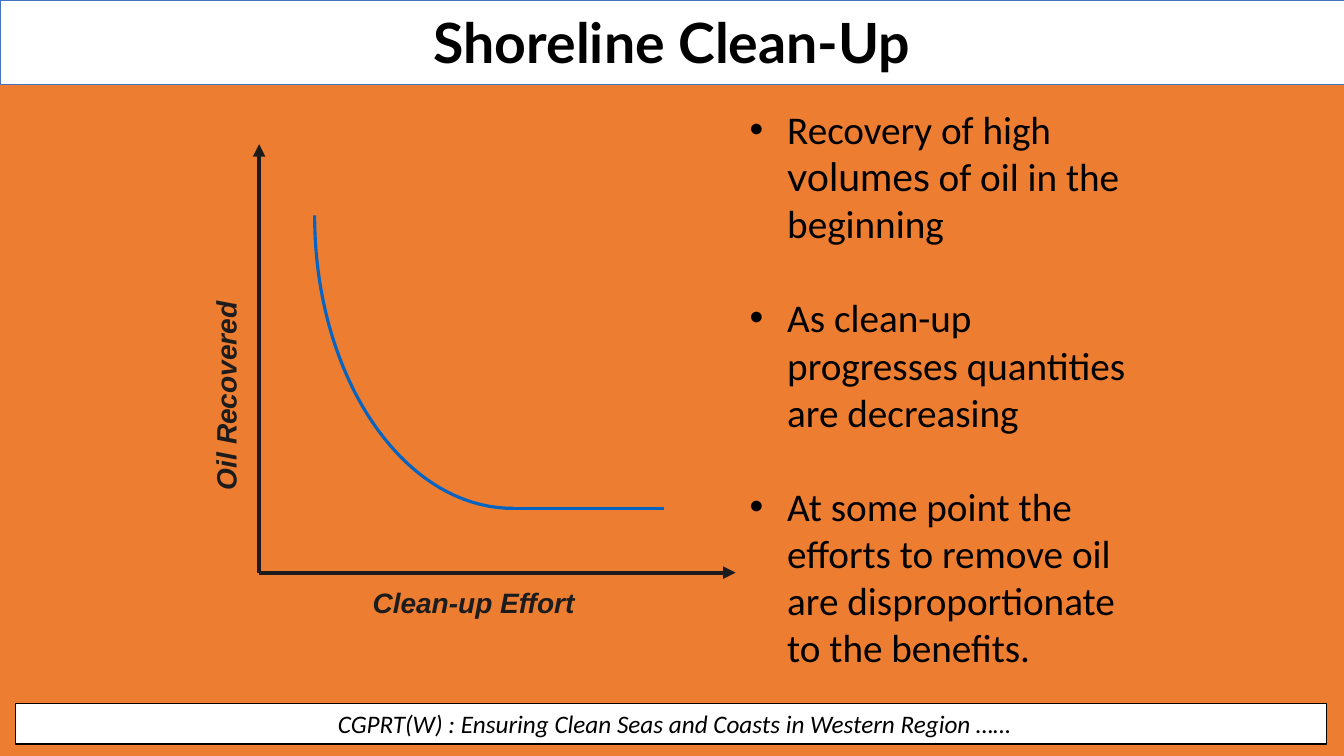
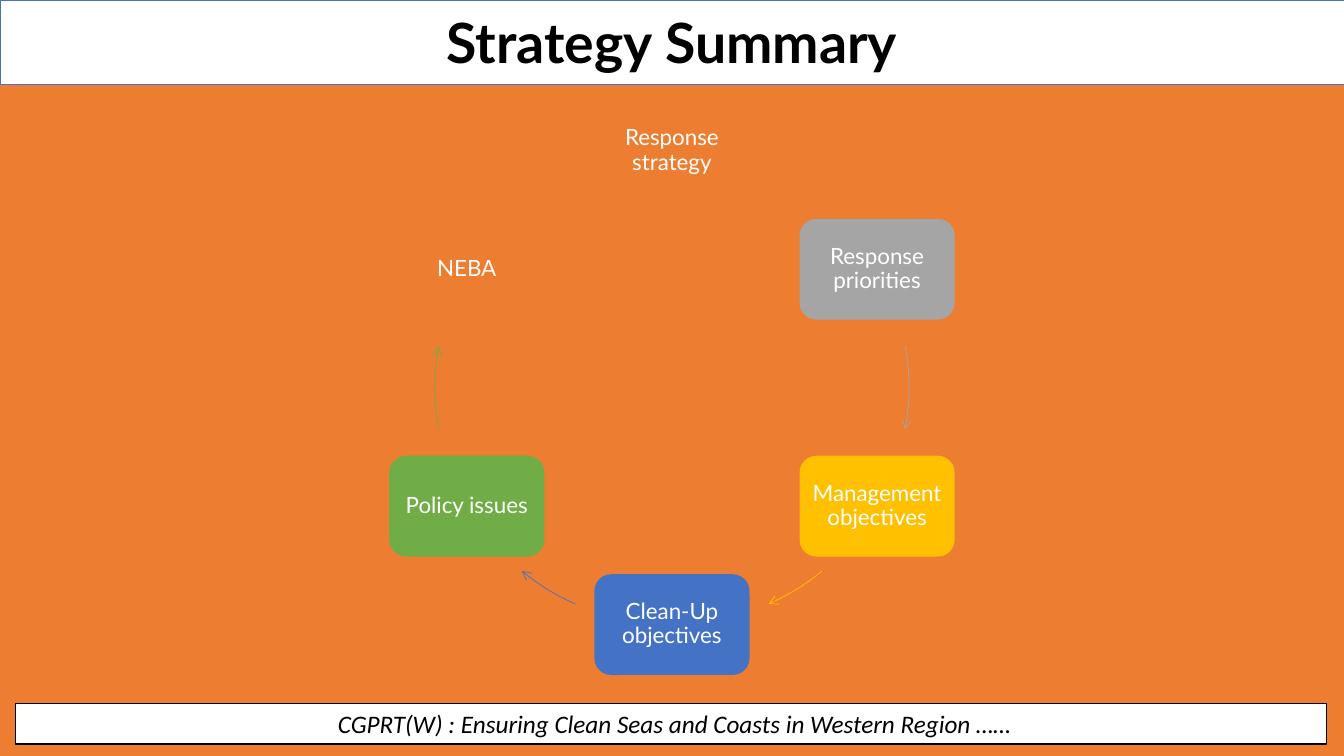
from dataclasses import dataclass
from math import cos, radians, sin, tan

from lxml import etree
from pptx import Presentation
from pptx.dml.color import RGBColor
from pptx.enum.shapes import MSO_CONNECTOR, MSO_SHAPE
from pptx.enum.text import MSO_ANCHOR, PP_ALIGN
from pptx.oxml.ns import qn
from pptx.util import Cm, Pt

RECT, ROUND = MSO_SHAPE.RECTANGLE, MSO_SHAPE.ROUNDED_RECTANGLE
LINE = MSO_CONNECTOR.STRAIGHT
LEFT, MID = PP_ALIGN.LEFT, PP_ALIGN.CENTER
TOP, CENTER = MSO_ANCHOR.TOP, MSO_ANCHOR.MIDDLE


@dataclass(frozen=True)
class Theme:
    back: str = "ED7D31"
    white: str = "FFFFFF"
    black: str = "000000"
    ink: str = "1C1C1C"
    blue: str = "4472C4"
    curve: str = "0563C1"
    gray: str = "A5A5A5"
    gold: str = "FFC000"
    green: str = "70AD47"
    head: str = "Lato"
    body: str = "Calibri"
    label: str = "Arial"
    title: float = 39.6
    large: int = 28
    axis: int = 20
    foot: int = 18
    small: int = 16


T = Theme()

# Content: a paragraph is text, or a list of (text, font) runs
FOOT = "CGPRT(W) : Ensuring Clean Seas and Coasts in Western Region ……"
SHORE = "Shoreline Clean-Up"
POINTS = [
    [("Recovery of high ", T.body), ("volumes", T.head),
     (" of oil in the beginning", T.body)],
    "As clean-up progresses quantities are decreasing",
    "At some point the efforts to remove oil are disproportionate "
    "to the benefits.",
]
# Axis labels: text, box, turn
LABELS = [
    ("Clean-up Effort", (9.14, 14.63, 5.64, 1.12), 0),
    ("Oil Recovered", (2.59, 8.97, 6.17, 1.09), 270),
]
SUM = "Strategy Summary"
# Clockwise from the top: text, fill, angles of the arrow that follows
STEPS = [
    ("Response strategy", T.back, (-65.9, -50.7)),
    ("Response priorities", T.gray, (-10.1, 10.1)),
    ("Management objectives", T.gold, (50.7, 65.9)),
    ("Clean-Up objectives", T.blue, (114.1, 129.3)),
    ("Policy issues", T.green, (169.9, 190.1)),
    ("NEBA", T.back, (230.7, 245.9)),
]

# Layout, in centimetres
WIDE, HIGH = 33.87, 19.05
BAND = (0, 0, WIDE, 2.13)
FLOOR = (0.39, 17.73, 33.05, 1.02)
LIST = (18.64, 2.53, 10.31, 14.63)
ZERO, AXES = (6.53, 14.43), [(6.53, 3.63), (18.54, 14.43)]
BEND, BOW, FLAT = (12.93, 5.43), (5, 7.38), (12.73, 16.74)
HUB, RING = (WIDE / 2, 9.77), 5.97
CARD = (3.91, 2.54)


def rgb(code):
    return RGBColor.from_string(code)


def write(shape, paras, font=T.body, size=T.large, color=T.black, bold=False,
          slant=False, align=LEFT, anchor=TOP, pad=(0.25, 0.13, 0.25, 0.13),
          space=None, gap=0, bullet=None):
    """Fill a shape with formatted paragraphs."""
    frame = shape.text_frame
    frame.word_wrap = True
    frame.vertical_anchor = anchor
    (frame.margin_left, frame.margin_top,
     frame.margin_right, frame.margin_bottom) = map(Cm, pad)
    for i, para in enumerate(paras):
        p = frame.add_paragraph() if i else frame.paragraphs[0]
        p.alignment = align
        if space:
            p.line_spacing = space
        if i and gap:
            p.space_before = Pt(gap)
        if bullet:
            props = p._p.get_or_add_pPr()
            props.set("marL", str(Cm(0.95)))
            props.set("indent", str(Cm(-0.95)))
            etree.SubElement(props, qn("a:buFont")).set("typeface", T.label)
            etree.SubElement(props, qn("a:buChar")).set("char", bullet)
        for text, face in [(para, font)] if isinstance(para, str) else para:
            run = p.add_run()
            run.text = text
            run.font.name, run.font.size = face, Pt(size)
            run.font.bold, run.font.italic = bold, slant
            run.font.color.rgb = rgb(color)


def block(slide, kind, box, fill, edge=None, width=0.5):
    shape = slide.shapes.add_shape(kind, *map(Cm, box))
    shape.shadow.inherit = False
    shape.fill.solid()
    shape.fill.fore_color.rgb = rgb(fill)
    if edge:
        stroke(shape, edge, width)
    else:
        shape.line.fill.background()
    return shape


def stroke(shape, color, width, tip=None):
    shape.line.color.rgb = rgb(color)
    shape.line.width = Pt(width)
    if tip:
        ln = shape.line._get_or_add_ln()
        etree.SubElement(ln, qn("a:tailEnd")).set("type", tip)


def rule(slide, start, end, color, width, tip=None):
    line = slide.shapes.add_connector(LINE, *map(Cm, (*start, *end)))
    stroke(line, color, width, tip)
    etree.SubElement(line._element.spPr, qn("a:effectLst"))


def arc(slide, hub, radii, span, frame, color, width, tip=None):
    """Draw part of an ellipse as one Bezier curve in a frame of two corners."""
    first, last = map(radians, span)
    pull = 4 / 3 * tan((last - first) / 4)

    def spot(turn, lead):
        return (Cm(hub[0] + radii[0] * (cos(turn) - lead * sin(turn))),
                Cm(hub[1] + radii[1] * (sin(turn) + lead * cos(turn))))

    # The corners only set the extent of the shape
    pen = slide.shapes.build_freeform(*map(Cm, frame[0]))
    pen.move_to(*map(Cm, frame[1]))
    pen.move_to(*spot(first, 0))
    pen.add_line_segments(
        [spot(first, pull), spot(last, -pull), spot(last, 0)], close=False)
    shape = pen.convert_to_shape()
    trace = shape._element.find(".//" + qn("a:path"))
    for move in trace.findall(qn("a:moveTo"))[:2]:
        trace.remove(move)
    bend = etree.SubElement(trace, qn("a:cubicBezTo"))
    for step in trace.findall(qn("a:lnTo")):
        bend.append(step[0])
        trace.remove(step)
    shape.shadow.inherit = False
    shape.fill.background()
    stroke(shape, color, width, tip)


def page(deck, title):
    """Add a slide with its title band and footer."""
    slide = deck.slides.add_slide(deck.slide_layouts[6])
    write(block(slide, RECT, BAND, T.white, T.blue), [title], font=T.head,
          size=T.title, bold=True, align=MID, anchor=CENTER, space=0.9,
          pad=(0.25, 0.29, 0.25, 0.13))
    write(block(slide, RECT, FLOOR, T.white, T.black, 0.75), [FOOT],
          size=T.foot, slant=True, align=MID, anchor=CENTER,
          pad=(0.43, 0.13, 0.25, 0.13))
    return slide


def shore(deck):
    slide = page(deck, SHORE)
    # Graph
    for end in AXES:
        rule(slide, ZERO, end, T.ink, 3, "triangle")
    for text, box, turn in LABELS:
        label = slide.shapes.add_textbox(*map(Cm, box))
        label.rotation = turn
        write(label, [text], font=T.label, size=T.axis, color=T.ink,
              bold=True, slant=True)
    base = BEND[1] + BOW[1]
    frame = ((BEND[0] - BOW[0], BEND[1]), (BEND[0], base))
    arc(slide, BEND, BOW, (90, 180), frame, T.curve, 2.25)
    rule(slide, (FLAT[0], base), (FLAT[1], base), T.curve, 2.25)
    # Points
    write(slide.shapes.add_textbox(*map(Cm, LIST)), POINTS, bullet="•",
          gap=33.6)


def cycle(deck):
    slide = page(deck, SUM)
    wide, high = CARD
    frame = [tuple(c + side * RING for c in HUB) for side in (-1, 1)]
    for i, (text, fill, span) in enumerate(STEPS):
        turn = radians(360 / len(STEPS) * i - 90)
        box = (HUB[0] + RING * cos(turn) - wide / 2,
               HUB[1] + RING * sin(turn) - high / 2, wide, high)
        write(block(slide, ROUND, box, fill), [text], font=T.head,
              size=T.small, color=T.white, align=MID, anchor=CENTER,
              space=0.9, pad=(0.17,) * 4)
        arc(slide, HUB, (RING, RING), span, frame, fill, 0.5, "arrow")


def main():
    deck = Presentation()
    deck.slide_width, deck.slide_height = Cm(WIDE), Cm(HIGH)
    back = deck.slide_master.background.fill
    back.solid()
    back.fore_color.rgb = rgb(T.back)
    shore(deck)
    cycle(deck)
    deck.save("out.pptx")


if __name__ == "__main__":
    main()
